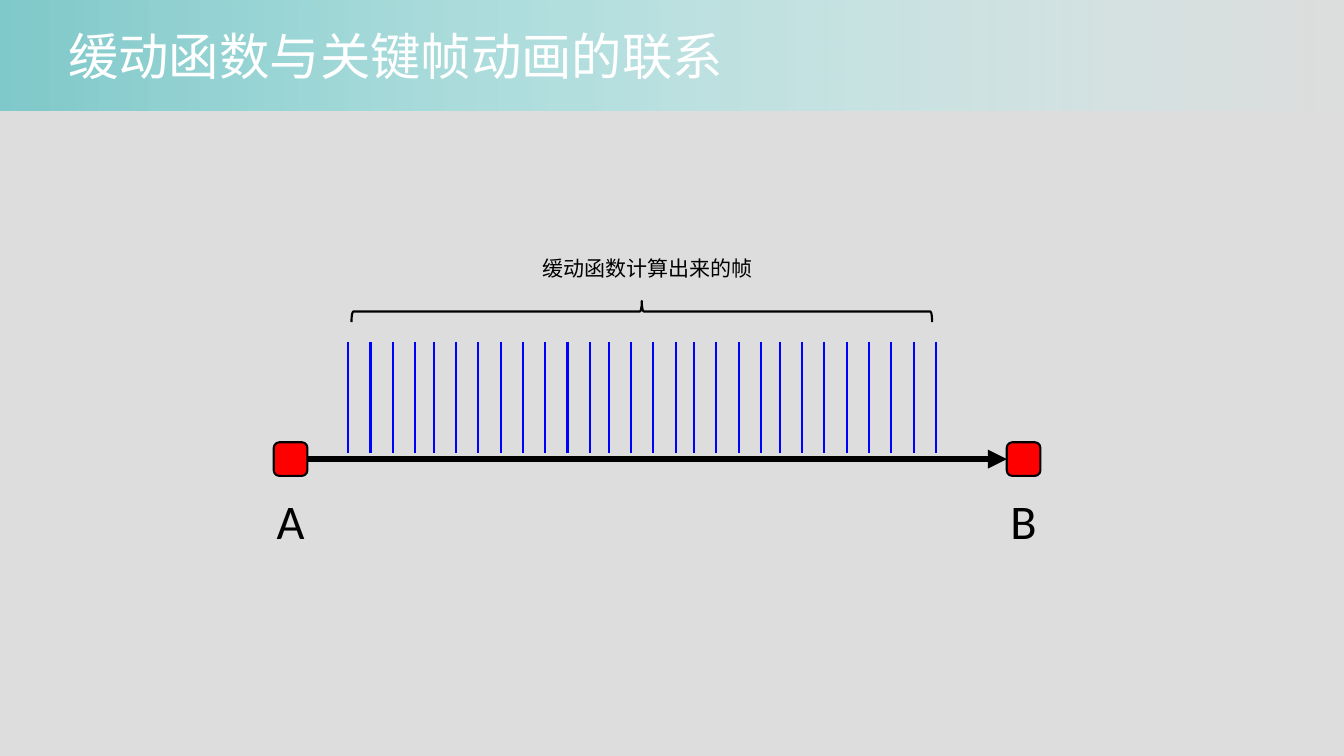
from dataclasses import dataclass

from lxml.etree import SubElement
from pptx import Presentation
from pptx.dml.color import RGBColor
from pptx.enum.shapes import MSO_CONNECTOR, MSO_SHAPE
from pptx.enum.text import MSO_ANCHOR, PP_ALIGN
from pptx.oxml.ns import qn
from pptx.util import Cm, Pt

SLIDE_WIDTH, SLIDE_HEIGHT = 45.16, 25.4
CJK_FONT = "Noto Sans CJK SC"
BLACK, WHITE, RED, BLUE = "000000", "FFFFFF", "FF0000", "0000FF"


@dataclass
class Label:
    text: str
    left: float
    top: float
    width: float
    height: float
    size: int
    font: str = "Calibri"
    color: str = BLACK
    align: PP_ALIGN = PP_ALIGN.CENTER
    anchor: MSO_ANCHOR = MSO_ANCHOR.TOP
    margins: tuple[float, float] = (0.25, 0.13)


@dataclass
class Keyframe:
    name: str
    left: float


@dataclass
class TickGroup:
    start: float
    count: int


KEYFRAME_TOP, KEYFRAME_SIZE = 14.86, 1.13
KEYFRAMES = [Keyframe("A", 9.2), Keyframe("B", 33.83)]
NAME_WIDTH = 2.36

TICK_TOP, TICK_BOTTOM, TICK_GAP = 11.48, 15.22, 0.75
TICK_GROUPS = [
    TickGroup(11.7, 4),
    TickGroup(14.57, 8),
    TickGroup(20.45, 4),
    TickGroup(23.32, 4),
    TickGroup(26.2, 8),
]


def rgb(color: str) -> RGBColor:
    return RGBColor.from_string(color)


def set_line(shape, color: str, width: float) -> None:
    shape.line.color.rgb = rgb(color)
    shape.line.width = Pt(width)


def add_label(slide, label: Label) -> None:
    box = slide.shapes.add_textbox(
        Cm(label.left), Cm(label.top), Cm(label.width), Cm(label.height)
    )
    frame = box.text_frame
    side, edge = label.margins
    frame_format = {
        "word_wrap": True,
        "vertical_anchor": label.anchor,
        "margin_left": Cm(side),
        "margin_right": Cm(side),
        "margin_top": Cm(edge),
        "margin_bottom": Cm(edge),
    }
    for name, value in frame_format.items():
        setattr(frame, name, value)
    para = frame.paragraphs[0]
    para.alignment = label.align
    span = para.add_run()
    span.text = label.text
    for name, value in {"size": Pt(label.size), "name": label.font}.items():
        setattr(span.font, name, value)
    span.font.color.rgb = rgb(label.color)
    SubElement(span.font._element, qn("a:ea"), typeface=CJK_FONT)


def add_shape(slide, kind: MSO_SHAPE, left: float, top: float, width: float, height: float):
    shape = slide.shapes.add_shape(kind, Cm(left), Cm(top), Cm(width), Cm(height))
    shape.shadow.inherit = False
    return shape


def add_line(slide, start: tuple[float, float], end: tuple[float, float],
             color: str, width: float):
    line = slide.shapes.add_connector(
        MSO_CONNECTOR.STRAIGHT, *(Cm(value) for value in (*start, *end))
    )
    set_line(line, color, width)
    SubElement(line._element.spPr, qn("a:effectLst"))
    return line


def add_banner(slide) -> None:
    """Draw the header band, which fades out towards the right."""
    banner = add_shape(slide, MSO_SHAPE.RECTANGLE, 0, 0, SLIDE_WIDTH, 3.71)
    banner.line.fill.background()
    banner.fill.gradient()
    banner.fill.gradient_angle = 180
    for stop, color, position in zip(
        banner.fill.gradient_stops, ("B0FFFB", "80C9CA"), (0, 1)
    ):
        stop.color.rgb = rgb(color)
        stop.position = position
    clear_color = next(banner._element.spPr.iter(qn("a:srgbClr")))
    SubElement(clear_color, qn("a:alpha"), val="0")


def add_keyframe(slide, keyframe: Keyframe) -> None:
    square = add_shape(slide, MSO_SHAPE.ROUNDED_RECTANGLE, keyframe.left,
                       KEYFRAME_TOP, KEYFRAME_SIZE, KEYFRAME_SIZE)
    square.fill.solid()
    square.fill.fore_color.rgb = rgb(RED)
    set_line(square, BLACK, 2)
    name_left = keyframe.left + (KEYFRAME_SIZE - NAME_WIDTH) / 2
    add_label(slide, Label(keyframe.name, name_left, 16.36, NAME_WIDTH, 2.21, 46))


def add_timeline(slide) -> None:
    first, last = KEYFRAMES
    middle = KEYFRAME_TOP + KEYFRAME_SIZE / 2
    arrow = add_line(slide, (first.left + KEYFRAME_SIZE, middle),
                     (last.left, middle), BLACK, 6)
    SubElement(arrow.line._get_or_add_ln(), qn("a:tailEnd"), type="triangle")


def add_ticks(slide) -> None:
    for group in TICK_GROUPS:
        for index in range(group.count):
            x = group.start + index * TICK_GAP
            add_line(slide, (x, TICK_TOP), (x, TICK_BOTTOM), BLUE, 2)


def add_brace(slide) -> None:
    brace = add_shape(slide, MSO_SHAPE.LEFT_BRACE, 21.21, 0.71, 0.71, 19.51)
    brace.rotation = 90
    brace.fill.background()
    set_line(brace, BLACK, 2)


def main() -> None:
    deck = Presentation()
    deck.slide_width, deck.slide_height = Cm(SLIDE_WIDTH), Cm(SLIDE_HEIGHT)
    page = deck.slides.add_slide(deck.slide_layouts[6])
    page.background.fill.solid()
    page.background.fill.fore_color.rgb = rgb("DDDDDD")

    add_banner(page)
    add_label(page, Label("缓动函数与关键帧动画的联系", 2.29, 0.91, 40.08, 1.9, 48,
                          CJK_FONT, WHITE, PP_ALIGN.LEFT, MSO_ANCHOR.MIDDLE, (0, 0)))
    for keyframe in KEYFRAMES:
        add_keyframe(page, keyframe)
    add_timeline(page)
    add_ticks(page)
    add_brace(page)
    add_label(page, Label("缓动函数计算出来的帧", 11.58, 8.46, 20.37, 1.12, 20))
    deck.save("out.pptx")


if __name__ == "__main__":
    main()
